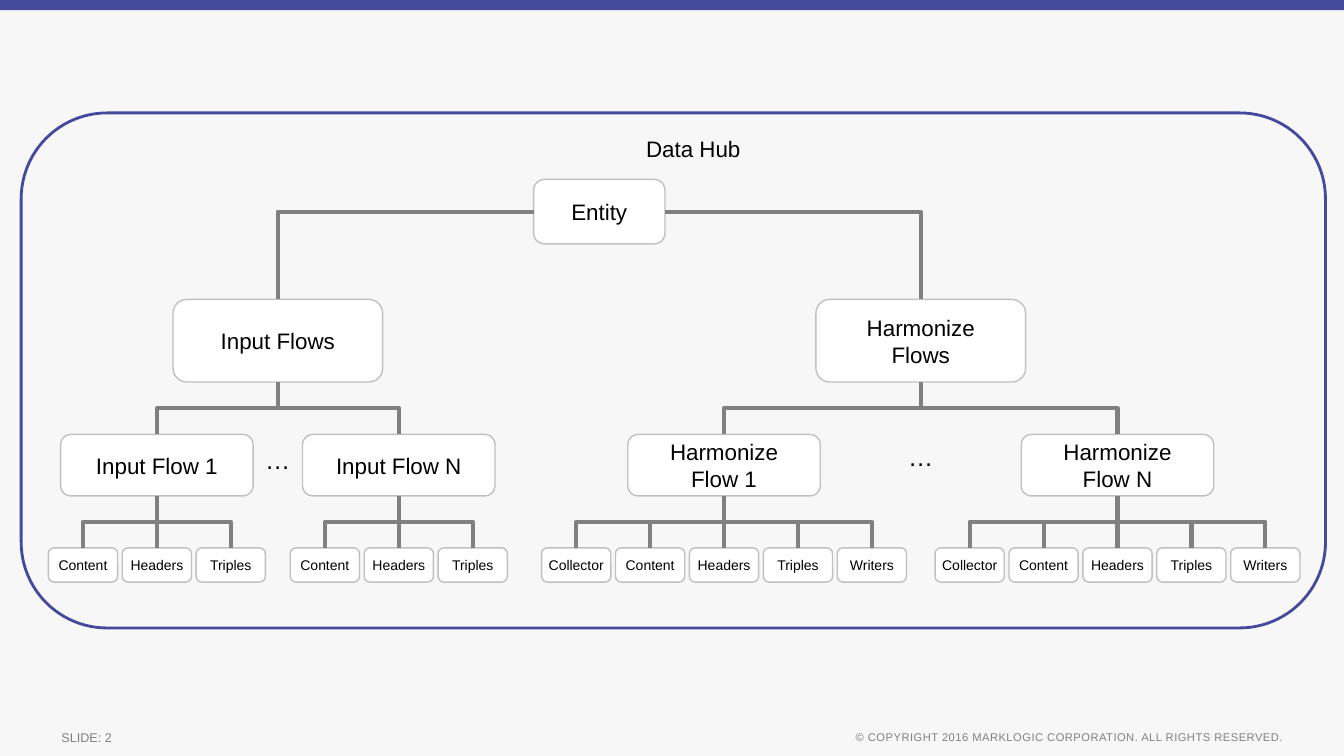
from dataclasses import dataclass

import pptx
import pptx.dml.color
import pptx.enum.shapes
import pptx.enum.text
import pptx.oxml.ns
import pptx.util
from lxml import etree

Shape = pptx.enum.shapes.MSO_SHAPE
Connector = pptx.enum.shapes.MSO_CONNECTOR
Align = pptx.enum.text.PP_ALIGN
Anchor = pptx.enum.text.MSO_ANCHOR
qn = pptx.oxml.ns.qn

# The slide is a grid of 40 columns by 30 rows
WIDTH, HEIGHT = pptx.util.Inches(13.33), pptx.util.Inches(7.5)
COLUMN, ROW = WIDTH / 40, HEIGHT / 30


@dataclass(frozen=True)
class Theme:
    font: str = "Arial"
    background: str = "F7F7F7"
    accent: str = "44499C"
    text: str = "010101"
    muted: str = "808080"
    box_fill: str = "FFFFFF"
    box_line: str = "C0C0C0"
    node_size: float = 16
    leaf_size: float = 10
    dots_size: float = 18
    number_size: float = 9
    copyright_size: float = 8


THEME = Theme()


@dataclass(frozen=True)
class Box:
    """A rectangle in columns and rows."""
    left: float
    top: float
    width: float
    height: float

    @property
    def center(self):
        return self.left + self.width / 2

    @property
    def middle(self):
        return self.top + self.height / 2

    @property
    def right(self):
        return self.left + self.width

    @property
    def bottom(self):
        return self.top + self.height

    def emu(self):
        return (round(self.left * COLUMN), round(self.top * ROW),
                round(self.width * COLUMN), round(self.height * ROW))


def centered(center, middle, width, height):
    return Box(center - width / 2, middle - height / 2, width, height)


def color(value):
    return pptx.dml.color.RGBColor.from_string(value)


def write(shape, text, size, ink=THEME.text, align=Align.CENTER, inset=(0, 0)):
    frame = shape.text_frame
    frame.text = text
    frame.margin_left = frame.margin_right = pptx.util.Inches(inset[0])
    frame.margin_top = frame.margin_bottom = pptx.util.Inches(inset[1])
    for paragraph in frame.paragraphs:
        paragraph.alignment = align
        paragraph.font.name = THEME.font
        paragraph.font.size = pptx.util.Pt(size)
        paragraph.font.color.rgb = color(ink)
    return frame


def add_text(slide, box, text, size, **style):
    shape = slide.shapes.add_textbox(*box.emu())
    frame = write(shape, text, size, **style)
    frame.word_wrap = False
    return frame


def add_panel(slide, box, kind, fill, line=None, weight=1):
    shape = slide.shapes.add_shape(kind, *box.emu())
    shape.shadow.inherit = False
    shape.fill.solid()
    shape.fill.fore_color.rgb = color(fill)
    if line:
        shape.line.color.rgb = color(line)
        shape.line.width = pptx.util.Pt(weight)
    else:
        shape.line.fill.background()
    return shape


def add_node(slide, box, text, size=THEME.node_size, inset=(0.2, 0.1)):
    shape = add_panel(slide, box, Shape.ROUNDED_RECTANGLE, THEME.box_fill, THEME.box_line)
    frame = write(shape, text, size, inset=inset)
    frame.word_wrap = True
    frame.vertical_anchor = Anchor.MIDDLE


def add_line(slide, kind, *ends):
    connector = slide.shapes.add_connector(kind, *(round(end) for end in ends))
    connector.line.color.rgb = color(THEME.muted)
    connector.line.width = pptx.util.Pt(3)
    properties = connector._element.spPr
    etree.SubElement(properties, qn("a:effectLst"))
    return properties


def connect_down(slide, parent, child):
    """Join the bottom of the parent to the top of the child."""
    x1, y1 = parent.center * COLUMN, parent.bottom * ROW
    x2, y2 = child.center * COLUMN, child.top * ROW
    across, down = x2 - x1, y2 - y1
    if abs(across) < COLUMN / 10:
        add_line(slide, Connector.STRAIGHT, x1, y1, x1, y2)
        return
    # An elbow runs sideways, so it is laid flat and then turned a quarter
    x, y = (x1 + x2) / 2, (y1 + y2) / 2
    properties = add_line(slide, Connector.ELBOW, x - down / 2, y + across / 2,
                          x + down / 2, y - across / 2)
    degrees = 270 if across > 0 else 90
    properties.find(qn("a:xfrm")).set("rot", str(degrees * 60000))


def connect_side(slide, parent, child):
    """Join the near side of the parent to the top of the child."""
    start = parent.right if child.center > parent.center else parent.left
    properties = add_line(slide, Connector.ELBOW, start * COLUMN, parent.middle * ROW,
                          child.center * COLUMN, child.top * ROW)
    properties.find(qn("a:prstGeom")).set("prst", "bentConnector2")


INPUT_PARTS = ["Content", "Headers", "Triples"]
HARMONIZE_PARTS = ["Collector", *INPUT_PARTS, "Writers"]
# Branch text, row of its dots, parts of each flow, flows with their center columns
BRANCHES = [
    ("Input Flows", 13.16, INPUT_PARTS,
     [("Input Flow 1", 4.04), ("Input Flow N", 11.24)]),
    ("Harmonize\nFlows", 13.04, HARMONIZE_PARTS,
     [("Harmonize\nFlow 1", 20.92), ("Harmonize\nFlow N", 32.63)]),
]


def add_flow(slide, box, text, parts, leaf_middle):
    """A flow with its row of parts below."""
    add_node(slide, box, text)
    pitch = 2.2
    for index, part in enumerate(parts):
        center = box.center + (index - (len(parts) - 1) / 2) * pitch
        leaf = centered(center, leaf_middle, 2.06, 1.36)
        add_node(slide, leaf, part, THEME.leaf_size, (0, 0.1))
        connect_down(slide, box, leaf)


def add_branch(slide, hub, text, dots_row, parts, flows):
    """A branch with its flows; returns the box of the branch."""
    center = hub.left + sum(column for _, column in flows) / len(flows)
    branch = centered(center, hub.top + 9.04, 6.24, 3.28)
    add_node(slide, branch, text)
    for flow_text, column in flows:
        flow = centered(hub.left + column, hub.top + 13.98, 5.73, 2.44)
        add_flow(slide, flow, flow_text, parts, hub.top + 17.94)
        connect_down(slide, branch, flow)
    dots = Box(center - 0.51, hub.top + dots_row, 1.02, 1.84)
    add_text(slide, dots, "…", THEME.dots_size)
    return branch


def add_hub(slide, hub):
    """The outlined hub with the whole tree."""
    add_panel(slide, hub, Shape.ROUNDED_RECTANGLE, THEME.background, THEME.accent, 2)
    add_text(slide, Box(hub.left + 18.6, hub.top + 0.88, 2.88, 1.32), "Data Hub",
             THEME.node_size, align=Align.LEFT)
    branches = [add_branch(slide, hub, *branch) for branch in BRANCHES]
    center = sum(branch.center for branch in branches) / len(branches)
    entity = centered(center, hub.top + 3.92, 3.91, 2.56)
    add_node(slide, entity, "Entity")
    for branch in branches:
        connect_side(slide, entity, branch)


def add_frame(slide, page):
    """Background, top bar and footer."""
    slide.background.fill.solid()
    slide.background.fill.fore_color.rgb = color(THEME.background)
    add_panel(slide, Box(page.left, page.top, page.width, 0.4), Shape.RECTANGLE, THEME.accent)
    add_text(slide, Box(page.left + 1.83, page.bottom - 1.04, 16.59, 1), "SLIDE: 2",
             THEME.number_size, ink=THEME.muted, align=Align.LEFT).word_wrap = True
    notice = add_text(slide, Box(page.right - 15, page.bottom - 1, 13.2, 0.52),
                      "© COPYRIGHT 2016 MARKLOGIC CORPORATION. ALL RIGHTS RESERVED.",
                      THEME.copyright_size, ink=THEME.muted, align=Align.RIGHT)
    notice.paragraphs[0].runs[0]._r.get_or_add_rPr().set("spc", "30")


def main():
    presentation = pptx.Presentation()
    presentation.slide_width, presentation.slide_height = WIDTH, HEIGHT
    slide = presentation.slides.add_slide(presentation.slide_layouts[6])
    add_frame(slide, Box(0, 0, 40, 30))
    add_hub(slide, Box(0.63, 4.48, 38.82, 20.44))
    presentation.save("out.pptx")


if __name__ == "__main__":
    main()
